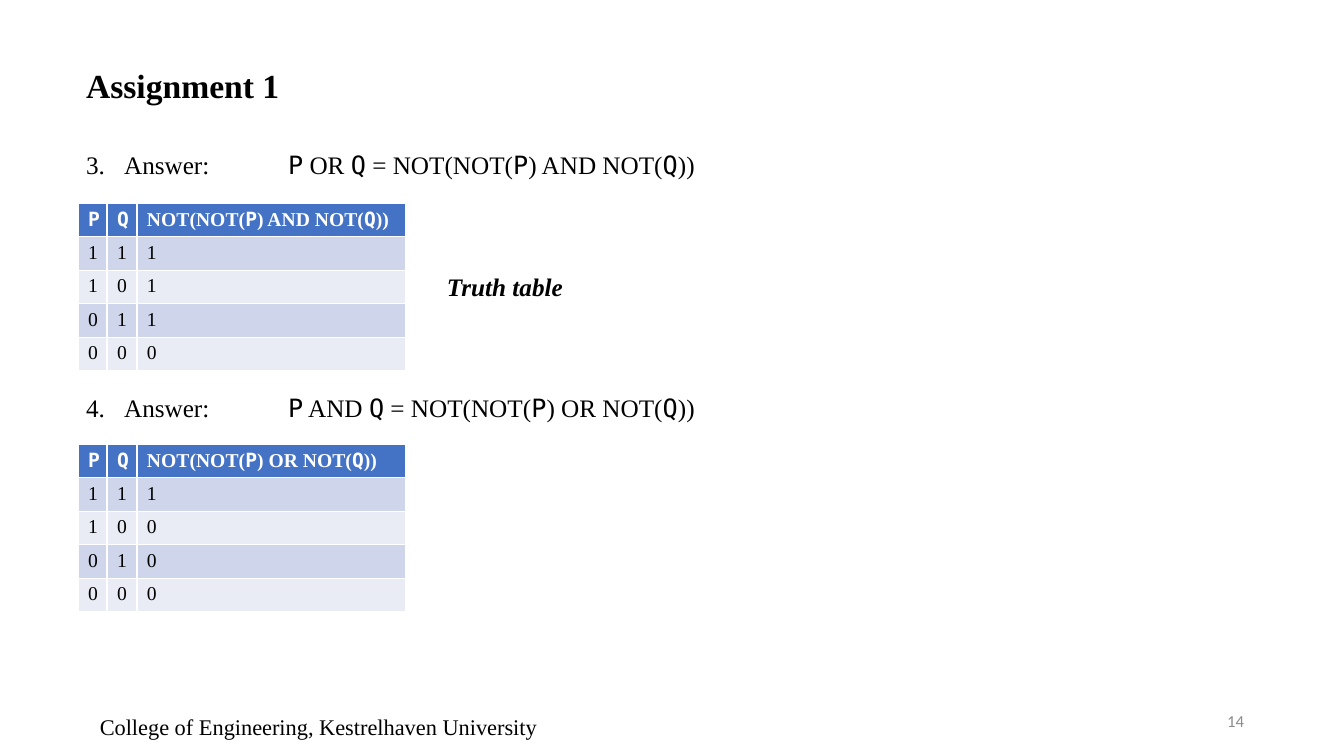
from itertools import groupby

from lxml.etree import SubElement
from pptx import Presentation
from pptx.dml.color import RGBColor
from pptx.enum.text import MSO_ANCHOR as Anchor, MSO_AUTO_SIZE as Fit, PP_ALIGN as Align
from pptx.oxml.ns import qn
from pptx.util import Pt

SCALE = 12192000 / 1344
SERIF, MONO, SANS = "Times New Roman", "DejaVu Sans Mono", "Calibri"
BLACK, WHITE, GREY, BLUE = "000000", "FFFFFF", "8C8C8C", "4472C4"
BANDS = ["CFD5EA", "E9EBF5"]
INPUTS = ["11", "10", "01", "00"]
COLS = [29, 30, 269]


def px(n):
    """Turn pixels into EMU."""
    return round(n * SCALE)


def color(code):
    """Turn a hex string into a colour."""
    return RGBColor.from_string(code)


def style(run, size, face=SERIF, tint=BLACK, bold=False, slant=False):
    """Format one run."""
    font = run.font
    font.size, font.name, font.bold, font.italic = Pt(size), face, bold, slant
    font.color.rgb = color(tint)


def write(para, text, size, **look):
    """Write a line with the variables P and Q in the mono font."""
    for is_var, part in groupby(text, lambda c: c in "PQ"):
        run = para.add_run()
        run.text = "".join(part)
        style(run, size, MONO if is_var else SERIF, **look)


def place(shape, box):
    """Move a shape to a box."""
    shape.left, shape.top, shape.width, shape.height = map(px, box)


def label(shape, box, text, size, align=Align.LEFT, anchor=Anchor.TOP, wrap=False, **look):
    """Fill a shape with one line of text."""
    place(shape, box)
    frame = shape.text_frame
    frame.text = text
    frame.word_wrap, frame.vertical_anchor, frame.auto_size = wrap, anchor, Fit.NONE
    para = frame.paragraphs[0]
    para.alignment = align
    style(para.runs[0], size, **look)


def answers(shape, box, rules, start, gap):
    """Fill the numbered list of answers."""
    place(shape, box)
    frame = shape.text_frame
    frame.word_wrap, frame.auto_size = True, Fit.NONE
    for i, rule in enumerate(rules):
        para = frame.add_paragraph() if i else frame.paragraphs[0]
        para.space_before = Pt(gap if i else 0)
        write(para, "Answer:\t" + rule, 18)
        props = para._p.get_or_add_pPr()
        props.set("marL", str(px(38)))
        props.set("indent", str(-px(38)))
        SubElement(props, qn("a:buFont"), typeface=SERIF)
        SubElement(props, qn("a:buAutoNum"), type="arabicPeriod", startAt=str(start + i))
        tabs = SubElement(props, qn("a:tabLst"))
        SubElement(tabs, qn("a:tab"), pos=str(px(202)), algn="l")


def truth(slide, box, head, values):
    """Draw a truth table for one expression."""
    rows = [["P", "Q", head]] + [[*pair, out] for pair, out in zip(INPUTS, values)]
    table = slide.shapes.add_table(len(rows), len(COLS), *map(px, box)).table
    for col, width in zip(table.columns, COLS):
        col.width = px(width)
    for r, row in enumerate(rows):
        for c, text in enumerate(row):
            cell = table.cell(r, c)
            cell.fill.solid()
            cell.fill.fore_color.rgb = color(BANDS[(r - 1) % 2] if r else BLUE)
            write(cell.text_frame.paragraphs[0], text, 14,
                  tint=BLACK if r else WHITE, bold=not r)


def footer(slide, box):
    """Place the school name and the page number."""
    x, y, w, h = box
    add = slide.shapes.add_textbox
    label(add(0, 0, 0, 0), (x, y + 7, 485, h - 7),
          "College of Engineering, Kestrelhaven University", 16, Align.CENTER)
    label(add(0, 0, 0, 0), (x + w - 302, y, 302, 40), "14", 12, Align.RIGHT,
          Anchor.MIDDLE, face=SANS, tint=GREY)


def build(deck):
    """Build the assignment slide."""
    slide = deck.slides.add_slide(deck.slide_layouts[1])
    label(slide.shapes.title, (76, 60, 216, 50), "Assignment 1", 24, bold=True)
    heads = ["NOT(NOT(P) AND NOT(Q))", "NOT(NOT(P) OR NOT(Q))"]
    rules = [f"P {op} Q = {head}" for op, head in zip(["OR", "AND"], heads)]
    answers(slide.placeholders[1], (76, 144, 629, 285), rules, 3, 152)
    for top, head, values in zip([203, 444], heads, ["1110", "1000"]):
        truth(slide, (78, top, sum(COLS), 168), head, values)
    label(slide.shapes.add_textbox(0, 0, 0, 0), (437, 266, 221, 40), "Truth table", 18,
          wrap=True, bold=True, slant=True)
    footer(slide, (76, 701, 1178, 44))


deck = Presentation()
deck.slide_width, deck.slide_height = px(1344), px(756)
build(deck)
deck.save("out.pptx")
